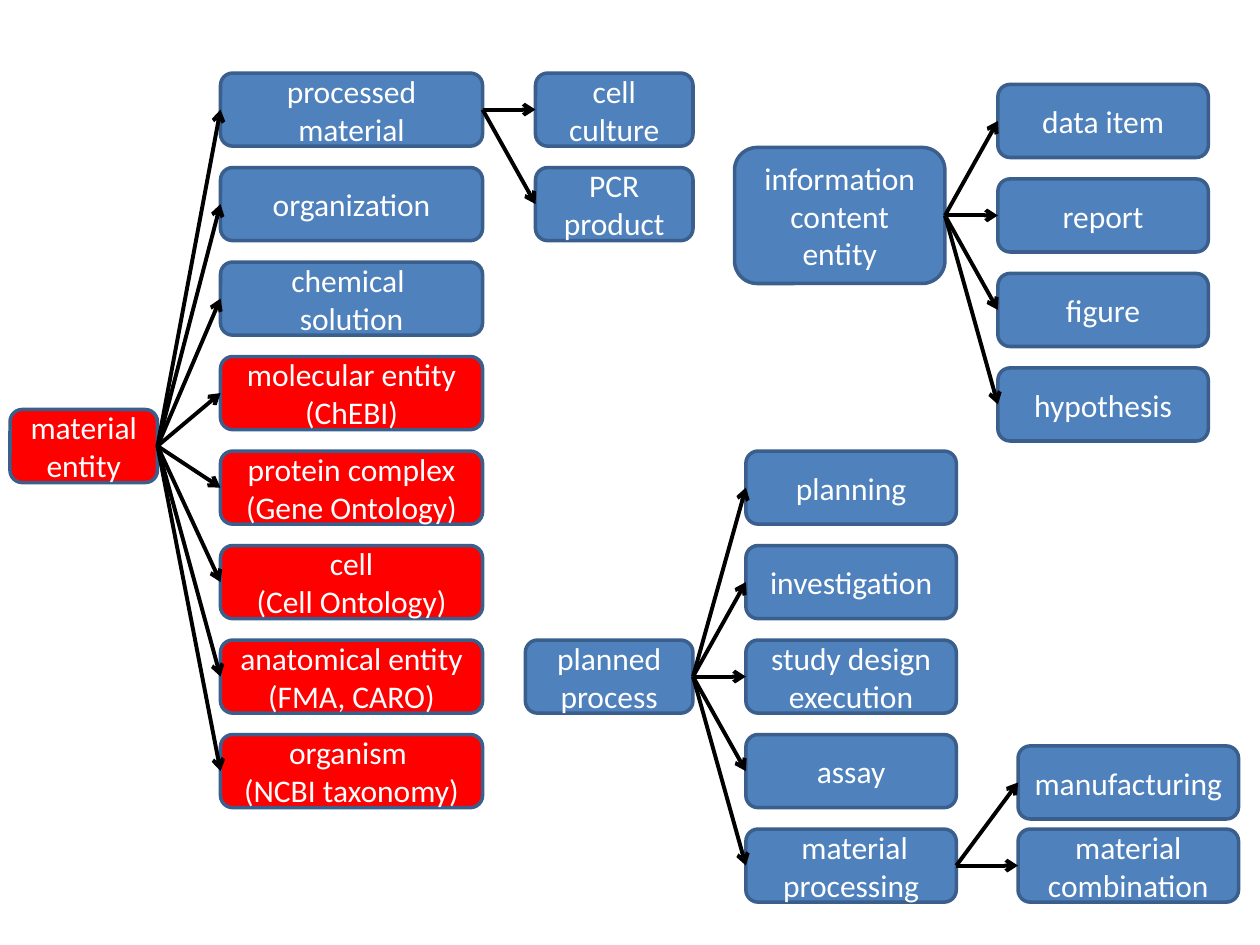
"""Build a slide of ontology class hierarchies joined by arrows."""
from lxml import etree
from pptx import Presentation
from pptx.dml.color import RGBColor
from pptx.enum.shapes import MSO_CONNECTOR, MSO_SHAPE
from pptx.enum.text import MSO_ANCHOR, PP_ALIGN
from pptx.oxml.ns import qn
from pptx.util import Inches, Pt

ROUNDED = MSO_SHAPE.ROUNDED_RECTANGLE
STRAIGHT = MSO_CONNECTOR.STRAIGHT
MIDDLE = MSO_ANCHOR.MIDDLE
CENTER = PP_ALIGN.CENTER
LEFT_SIDE, RIGHT_SIDE = 1, 3
BOX_HEIGHT = 0.58
ROW_STEP = 0.75
COLORS = {
    "own": "4F81BD",
    "imported": "FF0000",
    "outline": "3A5F8C",
    "text": "FFFFFF",
    "arrow": "000000",
}


def add_box(slide, label, left, top, width, height=BOX_HEIGHT, kind="own"):
    shape = slide.shapes.add_shape(
        ROUNDED, Inches(left), Inches(top), Inches(width), Inches(height)
    )
    shape.shadow.inherit = False
    shape.fill.solid()
    shape.fill.fore_color.rgb = RGBColor.from_string(COLORS[kind])
    shape.line.color.rgb = RGBColor.from_string(COLORS["outline"])
    shape.line.width = Pt(2)
    text_frame = shape.text_frame
    text_frame.word_wrap = True
    text_frame.vertical_anchor = MIDDLE
    paragraph = text_frame.paragraphs[0]
    paragraph.text = label
    paragraph.alignment = CENTER
    for run in paragraph.runs:
        run.font.name = "Calibri"
        run.font.size = Pt(18)
        run.font.color.rgb = RGBColor.from_string(COLORS["text"])
    return shape


def add_arrow(slide, parent, child):
    connector = slide.shapes.add_connector(STRAIGHT, 0, 0, 0, 0)
    connector.begin_connect(parent, RIGHT_SIDE)
    connector.end_connect(child, LEFT_SIDE)
    connector.line.color.rgb = RGBColor.from_string(COLORS["arrow"])
    connector.line.width = Pt(2.25)
    etree.SubElement(connector.line._get_or_add_ln(), qn("a:tailEnd"), type="arrow")
    etree.SubElement(connector._element.spPr, qn("a:effectLst"))


presentation = Presentation()
presentation.slide_width = Inches(10)
presentation.slide_height = Inches(7.5)
slide = presentation.slides.add_slide(presentation.slide_layouts[6])

boxes = {
    "material entity": add_box(slide, "material entity", 0.08, 3.25, 1.17, kind="imported"),
    "planned process": add_box(slide, "planned process", 4.17, 5.08, 1.33),
    "information content entity": add_box(
        slide, "information content entity", 5.83, 1.17, 1.67, height=1.08
    ),
}

branches = [
    ("material entity", 1.75, 0.58, 2.08, ROW_STEP, "own",
     ["processed material", "organization", "chemical  solution"]),
    ("material entity", 1.75, 2.83, 2.08, ROW_STEP, "imported",
     ["molecular entity (ChEBI)", "protein complex\n(Gene Ontology)",
      "cell\n(Cell Ontology)", "anatomical entity (FMA, CARO)",
      "organism \n(NCBI taxonomy)"]),
    ("processed material", 4.25, 0.58, 1.25, ROW_STEP, "own",
     ["cell culture", "PCR product"]),
    ("planned process", 5.92, 3.58, 1.67, ROW_STEP, "own",
     ["planning", "investigation", "study design execution", "assay",
      " material processing"]),
    (" material processing", 8.08, 5.92, 1.75, 0.66, "own",
     ["manufacturing", "material combination"]),
    ("information content entity", 7.92, 0.67, 1.67, ROW_STEP, "own",
     ["data item", "report", "figure", "hypothesis"]),
]

for parent, left, top, width, step, kind, labels in branches:
    for row, label in enumerate(labels):
        boxes[label] = add_box(slide, label, left, top + row * step, width, kind=kind)
        add_arrow(slide, boxes[parent], boxes[label])

presentation.save("out.pptx")
